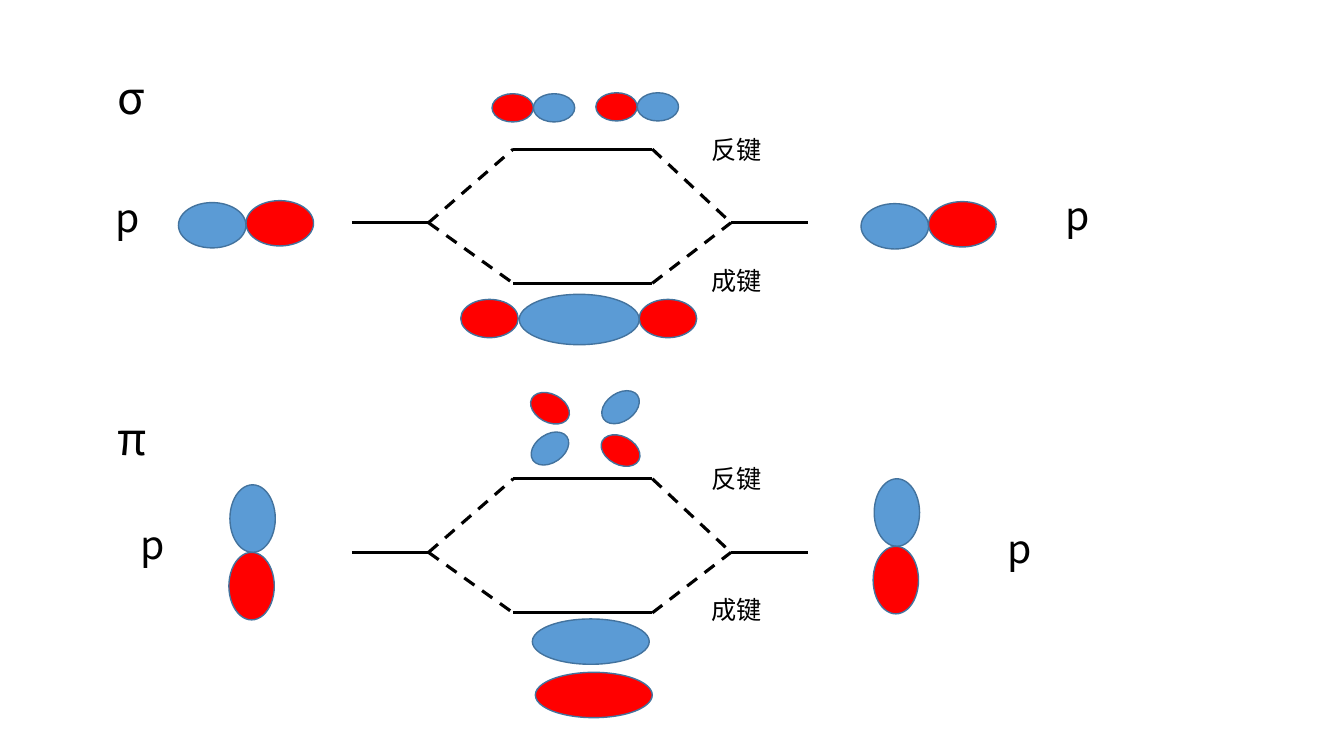
from lxml import etree
from pptx import Presentation
from pptx import util as u
from pptx.dml.color import RGBColor
from pptx.enum import dml, shapes, text
from pptx.oxml.ns import qn

FONT = "Noto Sans CJK SC"
BLACK, BLUE, RED, EDGE = "000000", "5B9BD5", "FF0000", "43739E"
P_LOBE, SMALL_LOBE, END_LOBE = (0.67, 0.45), (0.41, 0.28), (0.57, 0.38)
BOND_LOBE, CLOUD = (1.19, 0.5), (1.16, 0.45)


def rgb(hex_color):
    return RGBColor.from_string(hex_color)


def add_label(slide, x, y, w, h, words, size):
    tf = slide.shapes.add_textbox(*map(u.Inches, (x, y, w, h))).text_frame
    frame_format = {"word_wrap": False, "auto_size": text.MSO_AUTO_SIZE.SHAPE_TO_FIT_TEXT}
    for name, value in frame_format.items():
        setattr(tf, name, value)
    r = tf.paragraphs[0].add_run()
    r.text = words
    for name, value in {"size": u.Pt(size), "name": FONT}.items():
        setattr(r.font, name, value)
    r.font.color.rgb = rgb(BLACK)
    # East Asian typeface
    etree.SubElement(r._r.get_or_add_rPr(), qn("a:ea")).set("typeface", FONT)


def add_lobe(slide, x, y, size, color, rotation=0):
    sp = slide.shapes.add_shape(shapes.MSO_SHAPE.OVAL, *map(u.Inches, (x, y, *size)))
    sp.shadow.inherit = False
    sp.rotation = rotation
    sp.fill.solid()
    sp.fill.fore_color.rgb = rgb(color)
    sp.line.color.rgb = rgb(EDGE)
    sp.line.width = u.Pt(1)


def add_line(slide, start, end, dashed=False):
    line = slide.shapes.add_connector(
        shapes.MSO_CONNECTOR.STRAIGHT, *map(u.Inches, (*start, *end)))
    line.line.color.rgb = rgb(BLACK)
    line.line.width = u.Pt(2.25)
    if dashed:
        line.line.dash_style = dml.MSO_LINE.DASH
    etree.SubElement(line._element.spPr, qn("a:effectLst"))


def add_levels(slide, x, y):
    """Energy levels: two atomic levels, split into antibonding and bonding."""
    atom_y = y + 0.73
    left, right = (x + 0.76, atom_y), (x + 3.76, atom_y)
    add_line(slide, (x, atom_y), left)
    add_line(slide, right, (x + 4.52, atom_y))
    for words, level_y, label_y in (("反键", y, y - 0.2), ("成键", y + 1.33, y + 1.1)):
        start, end = (x + 1.6, level_y), (x + 2.98, level_y)
        add_line(slide, start, end)
        add_line(slide, left, start, dashed=True)
        add_line(slide, end, right, dashed=True)
        add_label(slide, x + 3.47, label_y, 0.71, 0.4, words, 18)


def add_region(slide, x, y, labels, lobes):
    """Levels, labels and orbital lobes, all relative to the region's corner."""
    add_levels(slide, x + 2.49, y + 0.88)
    for dx, dy, w, h, words, size in labels:
        add_label(slide, x + dx, y + dy, w, h, words, size)
    for dx, dy, *lobe in lobes:
        add_lobe(slide, x + dx, y + dy, *lobe)


def sigma_region(slide, x, y):
    labels = [(0.07, 0.04, 0.46, 0.64, "σ", 32),
              (0.05, 1.27, 0.43, 0.57, "p", 28),
              (9.47, 1.25, 0.43, 0.57, "p", 28)]
    # Bonding orbital
    lobes = [(4.15, 2.32, BOND_LOBE, BLUE),
             (3.57, 2.37, END_LOBE, RED),
             (5.34, 2.37, END_LOBE, RED)]
    # Antibonding orbital
    for dx, dy in ((3.88, 0.33), (4.91, 0.32)):
        lobes += [(dx + 0.41, dy, SMALL_LOBE, BLUE), (dx, dy, SMALL_LOBE, RED)]
    # Atomic p orbitals, lying along the axis
    for dx, dy in ((0.77, 1.41), (7.54, 1.42)):
        lobes += [(dx, dy, P_LOBE, BLUE), (dx + 0.67, dy - 0.02, P_LOBE, RED)]
    add_region(slide, x, y, labels, lobes)


def pi_region(slide, x, y):
    labels = [(0.07, 0.16, 0.48, 0.64, "π", 32),
              (0.3, 1.24, 0.43, 0.57, "p", 28),
              (8.89, 1.28, 0.43, 0.57, "p", 28)]
    # Bonding orbital
    lobes = [(4.28, 2.27, CLOUD, BLUE), (4.31, 2.8, CLOUD, RED)]
    # Antibonding orbital
    for dx, blue_y, red_y in ((4.25, 0.44, 0.04), (4.95, 0.03, 0.46)):
        lobes += [(dx, blue_y, SMALL_LOBE, BLUE, 325.2),
                  (dx, red_y, SMALL_LOBE, RED, 28.1)]
    # Atomic p orbitals, standing upright
    for dx, dy in ((1.17, 1.05), (7.56, 0.99)):
        lobes += [(dx, dy, P_LOBE, BLUE, 90),
                  (dx - 0.01, dy + 0.67, P_LOBE, RED, 90)]
    add_region(slide, x, y, labels, lobes)


def main():
    prs = Presentation()
    prs.slide_width, prs.slide_height = u.Inches(13.33), u.Inches(7.5)
    slide = prs.slides.add_slide(prs.slide_layouts[6])
    sigma_region(slide, 1, 0.6)
    pi_region(slide, 1, 3.87)
    prs.save("out.pptx")


if __name__ == "__main__":
    main()
